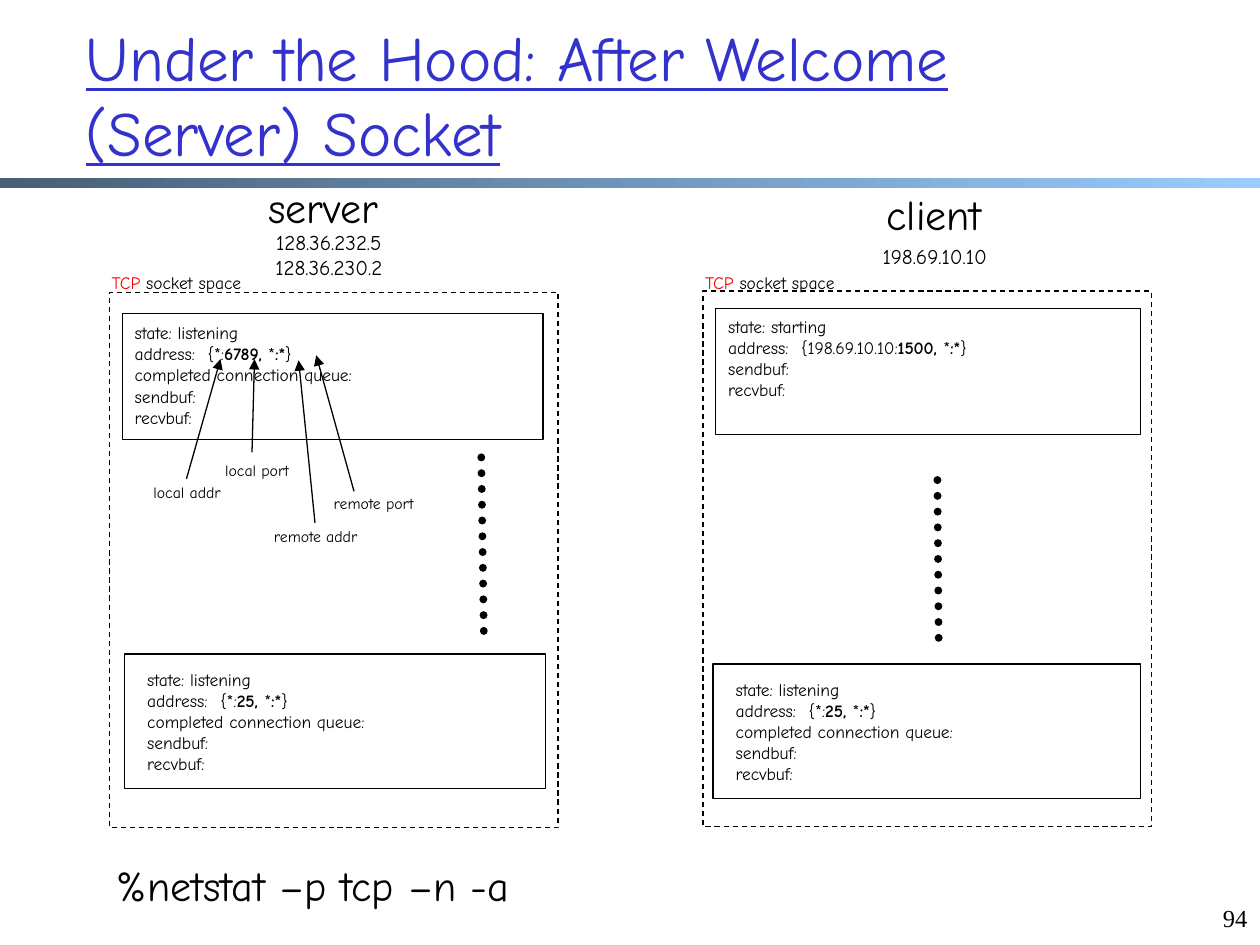
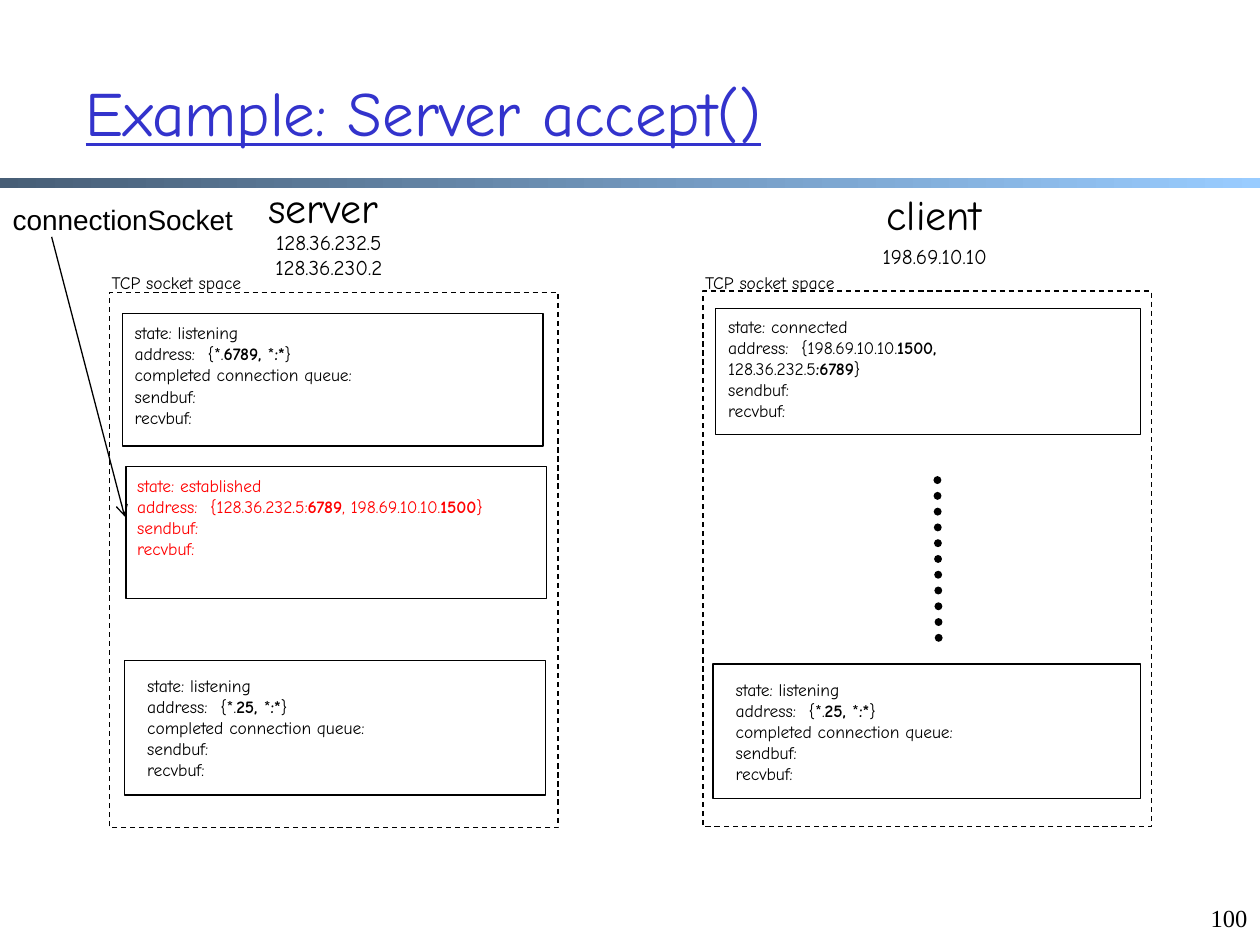
"""Build two slides on TCP socket state at a server and a client."""
import lxml.etree
import pptx
import pptx.dml.color
import pptx.enum.dml
import pptx.enum.shapes
import pptx.enum.text
import pptx.oxml.ns
import pptx.util

Inches = pptx.util.Inches
Pt = pptx.util.Pt
RGBColor = pptx.dml.color.RGBColor
qn = pptx.oxml.ns.qn
Align = pptx.enum.text.PP_ALIGN
Anchor = pptx.enum.text.MSO_ANCHOR
AutoSize = pptx.enum.text.MSO_AUTO_SIZE
Dash = pptx.enum.dml.MSO_LINE
RECTANGLE = pptx.enum.shapes.MSO_SHAPE.RECTANGLE

BLACK = RGBColor(0x00, 0x00, 0x00)
RED = RGBColor(0xFF, 0x00, 0x00)
TITLE_BLUE = RGBColor(0x33, 0x33, 0xCC)
BAND_DARK = RGBColor(0x47, 0x5E, 0x76)
BAND_LIGHT = RGBColor(0x99, 0xCC, 0xFF)

HAND_FONT = "Comic Neue"
TITLE_ONLY = 5
ADDRESS_TAB = 0.58
BUFFERS = [["sendbuf:"], ["recvbuf:"]]
QUEUE = [["completed connection queue:"]]


def add_span(para, text, size, color=BLACK, font=HAND_FONT, bold=None):
    """Add one formatted run to a paragraph."""
    span = para.add_run()
    span.text = text
    span.font.name = font
    span.font.size = Pt(size)
    span.font.color.rgb = color
    span.font.bold = bold
    return span


def add_text_box(shapes, left, top, width, height, wrap=False):
    """Add an empty text box and return it."""
    box = shapes.add_textbox(Inches(left), Inches(top), Inches(width), Inches(height))
    box.text_frame.word_wrap = wrap
    box.text_frame.auto_size = AutoSize.NONE if wrap else AutoSize.SHAPE_TO_FIT_TEXT
    return box


def add_label(page, area, lines, size, font=HAND_FONT, anchor=Anchor.TOP):
    """Add centred lines, each a list of (text, colour) spans."""
    frame = add_text_box(page.shapes, *area).text_frame
    frame.vertical_anchor = anchor
    for index, line in enumerate(lines):
        para = frame.add_paragraph() if index else frame.paragraphs[0]
        para.alignment = Align.CENTER
        for text, color in line:
            add_span(para, text, size, color, font)


def add_frame(shapes, left, top, width, height, dash=None):
    """Add an unfilled rectangle with a thin black outline."""
    frame = shapes.add_shape(
        RECTANGLE, Inches(left), Inches(top), Inches(width), Inches(height))
    frame.shadow.inherit = False
    frame.fill.background()
    frame.line.color.rgb = BLACK
    frame.line.width = Pt(0.75)
    frame.line.dash_style = dash


def add_line(page, start, end, width=0.75):
    """Add a black straight connector and return it with its a:ln element."""
    line = page.shapes.add_connector(
        pptx.enum.shapes.MSO_CONNECTOR.STRAIGHT, *map(Inches, start + end))
    line.line.color.rgb = BLACK
    line.line.width = Pt(width)
    properties = line.element.spPr
    lxml.etree.SubElement(properties, qn("a:effectLst"))
    return line, properties.find(qn("a:ln"))


def add_arrow(page, start, end, head="triangle"):
    """Add an arrow with its head at the end point."""
    outline = add_line(page, start, end)[1]
    lxml.etree.SubElement(outline, qn("a:tailEnd"), type=head)


def add_dots(page, start, end):
    """Add a row of round dots that stands for more sockets."""
    line, outline = add_line(page, start, end, 4.5)
    line.line.dash_style = Dash.ROUND_DOT
    outline.set("cap", "rnd")


def add_tab_stop(para, position):
    """Give a paragraph one left tab stop."""
    tabs = lxml.etree.SubElement(para._p.get_or_add_pPr(), qn("a:tabLst"))
    lxml.etree.SubElement(tabs, qn("a:tab"), pos=str(Inches(position)), algn="l")


def add_socket(page, area, text_area, state, address, rest, color=BLACK):
    """Add a socket box; spans of each line alternate plain and bold."""
    group = page.shapes.add_group_shape()
    add_frame(group.shapes, *area)
    frame = add_text_box(group.shapes, *text_area).text_frame
    lines = [["state: " + state], ["address:\t{" + address[0], *address[1:], "}"], *rest]
    for index, line in enumerate(lines):
        para = frame.add_paragraph() if index else frame.paragraphs[0]
        if len(line) > 1:
            add_tab_stop(para, ADDRESS_TAB)
        for place, text in enumerate(line):
            add_span(para, text, 10, color, bold=place % 2 == 1)


def any_address(separator, port):
    """Return the address spans of a listening socket."""
    return ["*" + separator, port + ", ", "*", ":*"]


def add_page(deck, title, title_top, number):
    """Add a slide with its title, gradient band and page number."""
    page = deck.slides.add_slide(deck.slide_layouts[TITLE_ONLY])
    band = page.shapes.add_shape(RECTANGLE, 0, Inches(1.41), deck.slide_width, Inches(0.08))
    band.shadow.inherit = False
    band.line.fill.background()
    band.fill.gradient()
    band.fill.gradient_angle = 0
    for stop, color, position in zip(
            band.fill.gradient_stops, (BAND_DARK, BAND_LIGHT), (0, 1)):
        stop.color.rgb = color
        stop.position = position

    heading = page.shapes.title
    heading.left, heading.top = Inches(0.58), Inches(title_top)
    heading.width, heading.height = Inches(8.81), Inches(1.25)
    frame = heading.text_frame
    frame.word_wrap = True
    frame.auto_size = AutoSize.NONE
    frame.vertical_anchor = Anchor.MIDDLE
    frame.paragraphs[0].alignment = Align.LEFT
    add_span(frame.paragraphs[0], title, 36, TITLE_BLUE).font.underline = True

    para = add_text_box(page.shapes, 9.5, 7.12, 0.5, 0.5, wrap=True).text_frame.paragraphs[0]
    para.alignment = Align.RIGHT
    add_span(para, number, 14, font="Times New Roman")
    return page


def add_hosts(page, tcp_color):
    """Add names, addresses and socket spaces of the server and the client."""
    hosts = [
        ("server", (1.96, 1.39, 1.21, 0.5), ["128.36.232.5", "128.36.230.2"],
         (2, 1.77, 1.22, 0.5), 0.87, 2.32),
        ("client", (6.88, 1.45, 1.07, 0.5), ["198.69.10.10"],
         (6.84, 1.88, 1.16, 0.3), 5.58, 2.31),
    ]
    for name, name_area, addresses, address_area, left, top in hosts:
        add_label(page, name_area, [[(name, BLACK)]], 24, anchor=Anchor.MIDDLE)
        add_label(page, address_area, [[(address, BLACK)] for address in addresses], 12)
        add_frame(page.shapes, left, top, 3.56, 4.25, Dash.DASH)
        add_label(page, (left - 0.13, 2.11, 1.32, 0.27),
                  [[("TCP", tcp_color), (" socket space", BLACK)]], 10)


def add_common_sockets(page, separator, server_height, mail_top, client_state, client_address):
    """Add the sockets that both slides show, and the client's dots."""
    rest = QUEUE + BUFFERS
    mail = any_address(separator, "25")
    add_socket(page, (0.97, 2.49, 3.34, server_height), (0.97, 2.51, 2.07, 0.93),
               "listening", any_address(separator, "6789"), rest)
    for left, top, width in ((0.99, mail_top, 3.34), (5.66, 5.27, 3.39)):
        add_socket(page, (left, top, width, 1.07), (left + 0.08, top + 0.07, 2.07, 0.93),
                   "listening", mail, rest)
    add_socket(page, (5.68, 2.45, 3.37, 1), (5.68, 2.46, 2.45, 0.77),
               client_state, client_address, BUFFERS)
    add_dots(page, (7.44, 3.81), (7.45, 5.08))


def build_welcome_page(deck):
    """Build the slide on the state after the welcome socket is made."""
    page = add_page(deck, "Under the Hood: After Welcome (Server) Socket", 0.12, "94")
    add_hosts(page, RED)
    add_common_sockets(page, ":", 1, 5.19, "starting",
                       ["198.69.10.10:", "1500, ", "*", ":*"])
    add_dots(page, (3.82, 3.63), (3.84, 5.02))
    callouts = [
        ("local addr", (1.1, 3.78, 0.77, 0.25), (1.48, 3.8), (1.75, 2.85)),
        ("local port", (1.66, 3.61, 0.76, 0.25), (2, 3.59), (2.02, 2.85)),
        ("remote addr", (2.04, 4.13, 0.93, 0.25), (2.5, 4.15), (2.37, 2.86)),
        ("remote port", (2.51, 3.87, 0.91, 0.25), (2.81, 3.9), (2.51, 2.82)),
    ]
    for text, area, start, end in callouts:
        add_label(page, area, [[(text, BLACK)]], 9)
        add_arrow(page, start, end)
    command = add_text_box(page.shapes, 0.83, 6.77, 3.53, 0.51)
    add_span(command.text_frame.paragraphs[0], "%netstat –p tcp –n -a", 24)


def build_accept_page(deck):
    """Build the slide on the state after the server accepts."""
    page = add_page(deck, "Example: Server accept()", 0.26, "100")
    add_hosts(page, BLACK)
    add_common_sockets(page, ".", 1.05, 5.24, "connected",
                       ["198.69.10.10.", "1500, ", "128.36.232.5", ":6789"])
    add_socket(page, (1, 3.7, 3.34, 1.05), (0.99, 3.72, 3.42, 0.77), "established",
               ["128.36.232.5:", "6789", ", 198.69.10.10.", "1500"], BUFFERS, RED)
    add_label(page, (0, 1.56, 1.95, 0.37), [[("connectionSocket", BLACK)]], 16, "Arial")
    add_arrow(page, (0.41, 1.88), (0.99, 4.1), "arrow")


def main():
    """Build and save the deck."""
    deck = pptx.Presentation()
    deck.slide_width, deck.slide_height = Inches(10), Inches(7.5)
    build_welcome_page(deck)
    build_accept_page(deck)
    deck.save("out.pptx")


if __name__ == "__main__":
    main()
